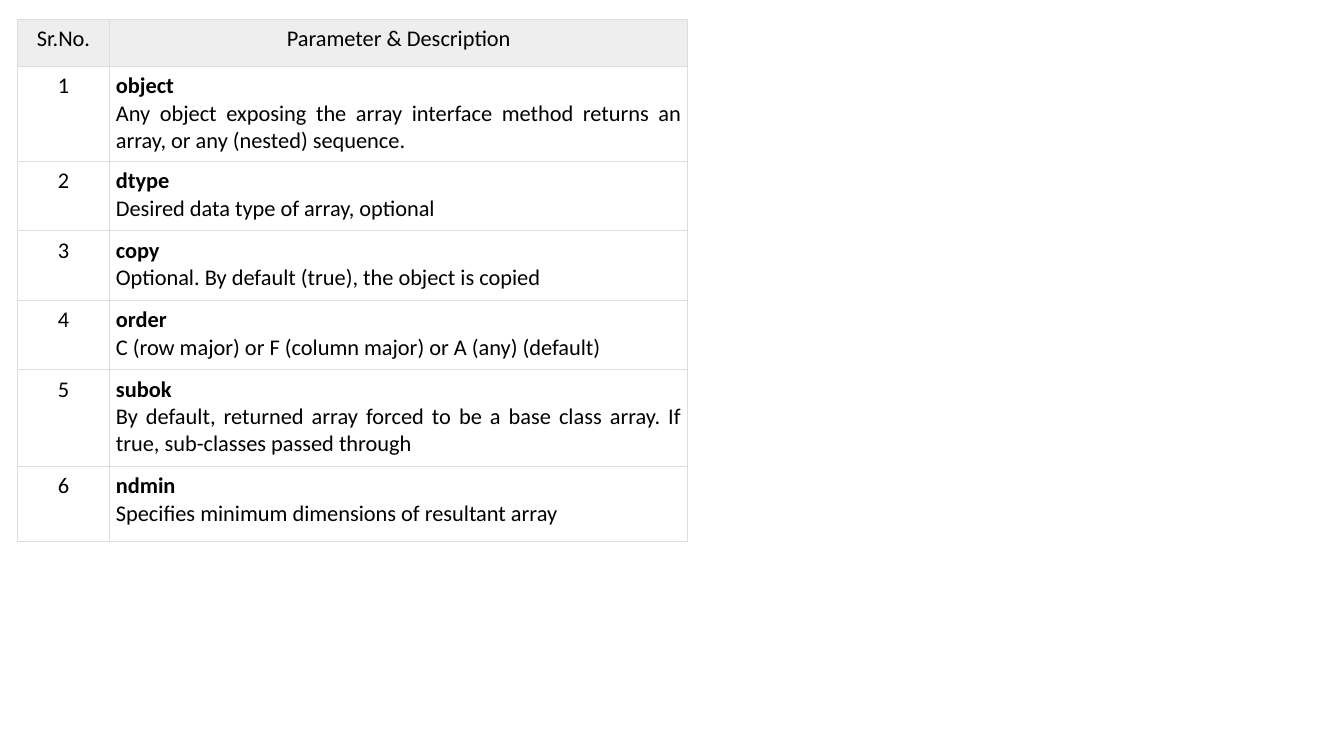
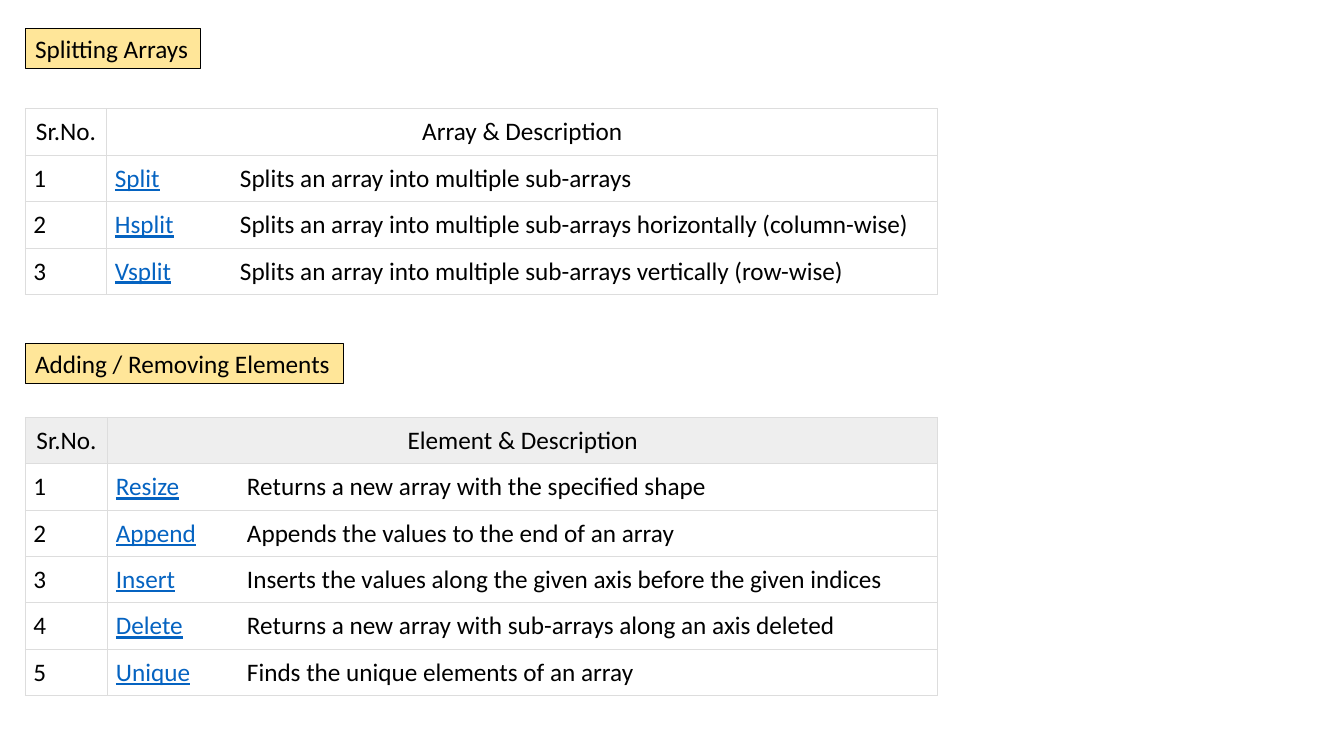
from dataclasses import dataclass

from lxml import etree
from pptx import Presentation
from pptx import util as u
from pptx.dml.color import RGBColor
from pptx.enum import text
from pptx.oxml.ns import qn


@dataclass(frozen=True)
class Theme:
    font: str = "Calibri"
    ink: str = "000000"
    link: str = "0563C1"
    border: str = "DDDDDD"
    header: str = "EEEEEE"
    white: str = "FFFFFF"
    label: str = "FFE699"
    line_width: float = 0.75
    small: int = 16
    normal: int = 18


THEME = Theme()
CENTER, LEFT, JUSTIFY = text.PP_ALIGN.CENTER, text.PP_ALIGN.LEFT, text.PP_ALIGN.JUSTIFY

# Content
PARAMETERS = [
    ("object", "Any object exposing the array interface method returns an array, or any (nested) sequence."),
    ("dtype", "Desired data type of array, optional"),
    ("copy", "Optional. By default (true), the object is copied"),
    ("order", "C (row major) or F (column major) or A (any) (default)"),
    ("subok", "By default, returned array forced to be a base class array. "
              "If true, sub-classes passed through"),
    ("ndmin", "Specifies minimum dimensions of resultant array"),
]
PARAMETER_ROWS = [0.47, 0.94, 0.69, 0.69, 0.69, 0.96, 0.74]

FUNCTION_SECTIONS = [
    dict(
        label="Splitting Arrays", label_top=0.28, label_width=1.74,
        heading="Array & Description", table_top=1.08, number_width=0.81, tab=1.24,
        header_fill=THEME.white, body_fill=THEME.white,
        functions=[
            ("Split", "Splits an array into multiple sub-arrays"),
            ("Hsplit", "Splits an array into multiple sub-arrays horizontally (column-wise)"),
            ("Vsplit", "Splits an array into multiple sub-arrays vertically (row-wise)"),
        ],
    ),
    dict(
        label="Adding / Removing Elements", label_top=3.41, label_width=3.16,
        heading="Element & Description", table_top=4.14, number_width=0.82, tab=1.3,
        header_fill=THEME.header, body_fill=None,
        functions=[
            ("Resize", "Returns a new array with the specified shape"),
            ("Append", "Appends the values to the end of an array"),
            ("Insert", "Inserts the values along the given axis before the given indices"),
            ("Delete", "Returns a new array with sub-arrays along an axis deleted"),
            ("Unique", "Finds the unique elements of an array"),
        ],
    ),
]
SECTION_LEFT, SECTION_WIDTH, FUNCTION_ROW = 0.25, 9.05, 0.46


# Text and cell formatting
def color(value):
    return RGBColor.from_string(value)


def write(paragraph, content, size=THEME.normal, ink=THEME.ink, bold=False,
          underline=False, align=LEFT):
    paragraph.alignment = align
    run = paragraph.add_run()
    run.text = content
    font = run.font
    font.name, font.size = THEME.font, u.Pt(size)
    font.bold, font.underline = bold, underline
    font.color.rgb = color(ink)


def set_tab(paragraph, position):
    properties = paragraph._p.get_or_add_pPr()
    tabs = etree.SubElement(properties, qn("a:tabLst"))
    etree.SubElement(tabs, qn("a:tab"), pos=str(u.Inches(position)), algn="l")


def style_cell(cell, fill, margin):
    cell.margin_left = cell.margin_right = u.Inches(margin)
    cell.margin_top = cell.margin_bottom = u.Inches(margin)
    properties = cell._tc.get_or_add_tcPr()
    for side in ("L", "R", "T", "B"):
        line = etree.SubElement(properties, qn(f"a:ln{side}"), w=str(u.Pt(THEME.line_width)))
        solid = etree.SubElement(line, qn("a:solidFill"))
        etree.SubElement(solid, qn("a:srgbClr"), val=THEME.border)
    if fill:
        cell.fill.solid()
        cell.fill.fore_color.rgb = color(fill)
    else:
        cell.fill.background()


# Shared parts
def add_grid(slide, left, top, columns, rows, headings, size, margin,
             header_fill=THEME.header, body_fill=None, number_align=LEFT):
    """Add a bordered table with its headings and row numbers; return it."""
    frame = slide.shapes.add_table(
        len(rows), len(columns), u.Inches(left), u.Inches(top),
        u.Inches(sum(columns)), u.Inches(sum(rows)))
    table = frame.table
    table.first_row = table.horz_banding = False
    for column, width in zip(table.columns, columns):
        column.width = u.Inches(width)
    for index, (row, height) in enumerate(zip(table.rows, rows)):
        row.height = u.Inches(height)
        for cell in row.cells:
            style_cell(cell, body_fill if index else header_fill, margin)
        if index:
            write(row.cells[0].text_frame.paragraphs[0], str(index),
                  size=size, align=number_align)
    for cell, heading in zip(table.rows[0].cells, headings):
        write(cell.text_frame.paragraphs[0], heading, size=size, align=CENTER)
    return table


def add_label(slide, content, top, width):
    box = slide.shapes.add_textbox(
        u.Inches(SECTION_LEFT), u.Inches(top), u.Inches(width), u.Inches(0.4))
    box.fill.solid()
    box.fill.fore_color.rgb = color(THEME.label)
    box.line.color.rgb = color(THEME.ink)
    box.line.width = u.Pt(THEME.line_width)
    frame = box.text_frame
    frame.word_wrap = False
    frame.auto_size = text.MSO_AUTO_SIZE.SHAPE_TO_FIT_TEXT
    write(frame.paragraphs[0], content)


# Slides
def build_parameters(slide):
    table = add_grid(slide, 0.17, 0.19, [0.92, 5.73], PARAMETER_ROWS,
                     ["Sr.No.", "Parameter & Description"], THEME.small, 0.06,
                     number_align=CENTER)
    for index, (name, description) in enumerate(PARAMETERS, 1):
        frame = table.cell(index, 1).text_frame
        write(frame.paragraphs[0], name, size=THEME.small, bold=True, align=JUSTIFY)
        write(frame.add_paragraph(), description, size=THEME.small, align=JUSTIFY)


def build_functions(slide):
    for section in FUNCTION_SECTIONS:
        add_label(slide, section["label"], section["label_top"], section["label_width"])
        number_width, functions = section["number_width"], section["functions"]
        table = add_grid(
            slide, SECTION_LEFT, section["table_top"],
            [number_width, SECTION_WIDTH - number_width],
            [FUNCTION_ROW] * (len(functions) + 1),
            ["Sr.No.", section["heading"]], THEME.normal, 0.08,
            header_fill=section["header_fill"], body_fill=section["body_fill"])
        for index, (name, description) in enumerate(functions, 1):
            paragraph = table.cell(index, 1).text_frame.paragraphs[0]
            set_tab(paragraph, section["tab"])
            write(paragraph, name, ink=THEME.link, underline=True)
            write(paragraph, "\t" + description)


def main():
    presentation = Presentation()
    presentation.slide_width, presentation.slide_height = u.Inches(13.33), u.Inches(7.5)
    blank = presentation.slide_layouts[6]
    for build in (build_parameters, build_functions):
        build(presentation.slides.add_slide(blank))
    presentation.save("out.pptx")


if __name__ == "__main__":
    main()
